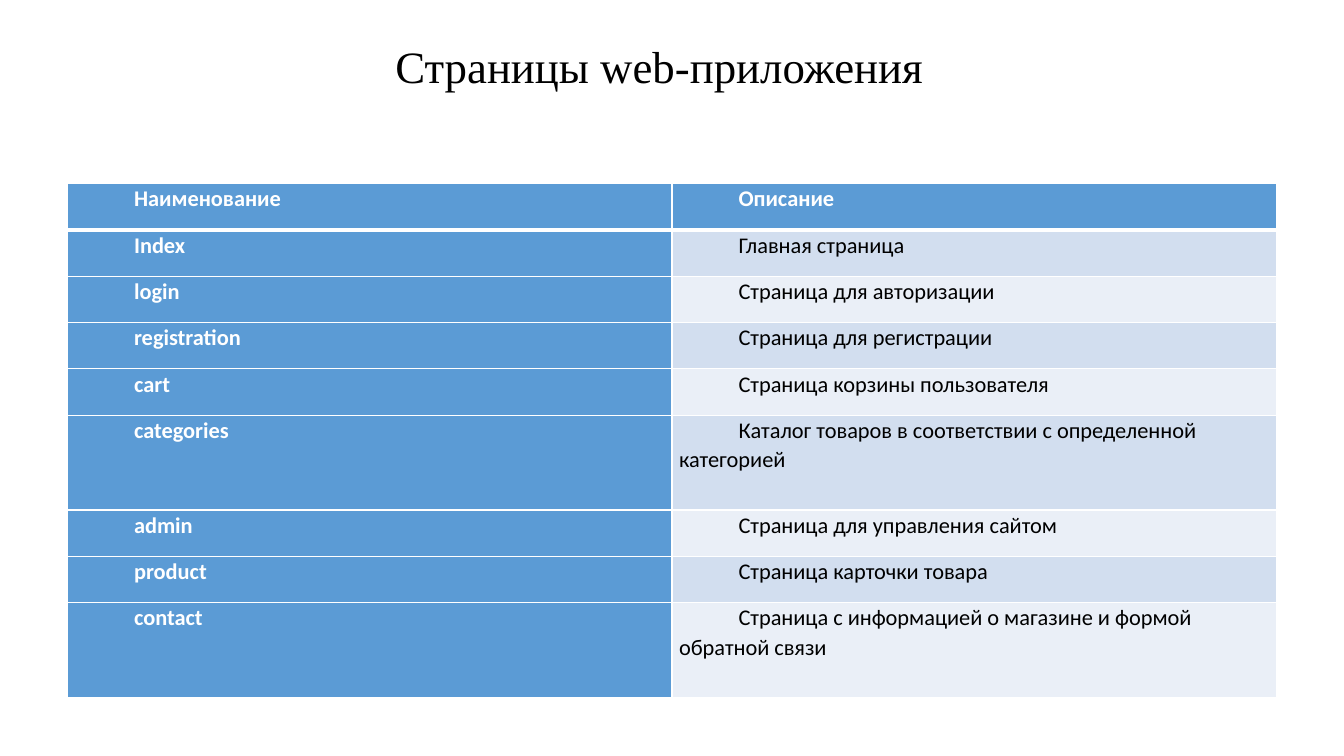
import pptx
import pptx.dml.color
import pptx.enum.text
import pptx.oxml
import pptx.util
from pptx.dml.color import RGBColor
from pptx.util import Inches, Pt

WHITE = RGBColor(0xFF, 0xFF, 0xFF)
BLACK = RGBColor(0x00, 0x00, 0x00)
BLUE = RGBColor(0x5B, 0x9B, 0xD5)
BANDS = [RGBColor(0xD2, 0xDE, 0xEF), RGBColor(0xEA, 0xEF, 0xF7)]

PAGES = [
    ("Наименование", "Описание"),
    ("Index", "Главная страница"),
    ("login", "Страница для авторизации"),
    ("registration", "Страница для регистрации"),
    ("cart", "Страница корзины пользователя"),
    ("categories", "Каталог товаров в соответствии с определенной категорией"),
    ("admin", "Страница для управления сайтом"),
    ("product", "Страница карточки товара"),
    ("contact", "Страница с информацией о магазине и формой обратной связи"),
]
TALL_ROWS = ("categories", "contact")


def apply_format(target, values):
    for name, value in values.items():
        setattr(target, name, value)


class SlideBuilder:
    title_font = {"name": "Times New Roman", "size": Pt(32), "bold": False}
    cell_font = {"name": "Calibri", "size": Pt(16)}
    cell_frame = {
        "margin_left": Inches(0.07), "margin_right": Inches(0.07),
        "margin_top": 0, "margin_bottom": 0,
        "vertical_anchor": pptx.enum.text.MSO_ANCHOR.TOP,
    }
    cell_para = {"line_spacing": 1.07, "space_before": Pt(0), "space_after": Pt(8)}
    first_line_indent = Inches(0.59)

    def __init__(self, deck):
        self.page = deck.slides.add_slide(deck.slide_layouts[5])

    def title(self, text, left, top, width, height):
        box = self.page.shapes.title
        apply_format(box, {"left": Inches(left), "top": Inches(top),
                           "width": Inches(width), "height": Inches(height)})
        apply_format(box.text_frame, {
            "text": text, "word_wrap": True,
            "auto_size": pptx.enum.text.MSO_AUTO_SIZE.NONE,
            "vertical_anchor": pptx.enum.text.MSO_ANCHOR.MIDDLE})
        para = box.text_frame.paragraphs[0]
        apply_format(para, {"alignment": pptx.enum.text.PP_ALIGN.CENTER,
                            "line_spacing": 0.9, "space_before": Pt(0)})
        span = para.runs[0]
        apply_format(span.font, self.title_font)
        span.font.color.rgb = BLACK

    def table(self, rows, left, top, width, row_heights):
        frame = self.page.shapes.add_table(
            len(rows), len(rows[0]), Inches(left), Inches(top),
            Inches(width), Inches(sum(row_heights)))
        grid = frame.table
        grid.first_col = True
        for row_index, (texts, height) in enumerate(zip(rows, row_heights)):
            grid.rows[row_index].height = Inches(height)
            for column_index, text in enumerate(texts):
                self.cell(grid.cell(row_index, column_index), text,
                          row_index, column_index)

    def cell(self, cell, text, row_index, column_index):
        heading = row_index == 0 or column_index == 0
        apply_format(cell, {"text": text, **self.cell_frame})
        cell.fill.solid()
        cell.fill.fore_color.rgb = BLUE if heading else BANDS[(row_index - 1) % 2]
        para = cell.text_frame.paragraphs[0]
        apply_format(para, self.cell_para)
        para._p.get_or_add_pPr().set("indent", str(self.first_line_indent))
        span = para.runs[0]
        apply_format(span.font, {**self.cell_font, "bold": heading})
        span.font.color.rgb = WHITE if heading else BLACK
        self.borders(cell, {"L": 1, "R": 1,
                            "T": 3 if row_index == 1 else 1,
                            "B": 3 if row_index == 0 else 1})

    def borders(self, cell, widths):
        """Draw white cell borders; widths maps side letters to points."""
        properties = cell._tc.get_or_add_tcPr()
        for position, (side, width) in enumerate(widths.items()):
            properties.insert(position, pptx.oxml.parse_xml(
                f'<a:ln{side} xmlns:a="http://schemas.openxmlformats.org/drawingml/2006/main"'
                f' w="{Pt(width)}"><a:solidFill><a:srgbClr val="{WHITE}"/></a:solidFill>'
                f'</a:ln{side}>'))


def main():
    deck = pptx.Presentation()
    deck.slide_width, deck.slide_height = Inches(13.33), Inches(7.5)
    builder = SlideBuilder(deck)
    builder.title("Страницы web-приложения ", 3.72, 0.42, 5.75, 0.52)
    heights = [0.94 if name in TALL_ROWS else 0.46 for name, _ in PAGES]
    builder.table(PAGES, 0.67, 1.82, 11.99, heights)
    deck.save("out.pptx")


if __name__ == "__main__":
    main()
